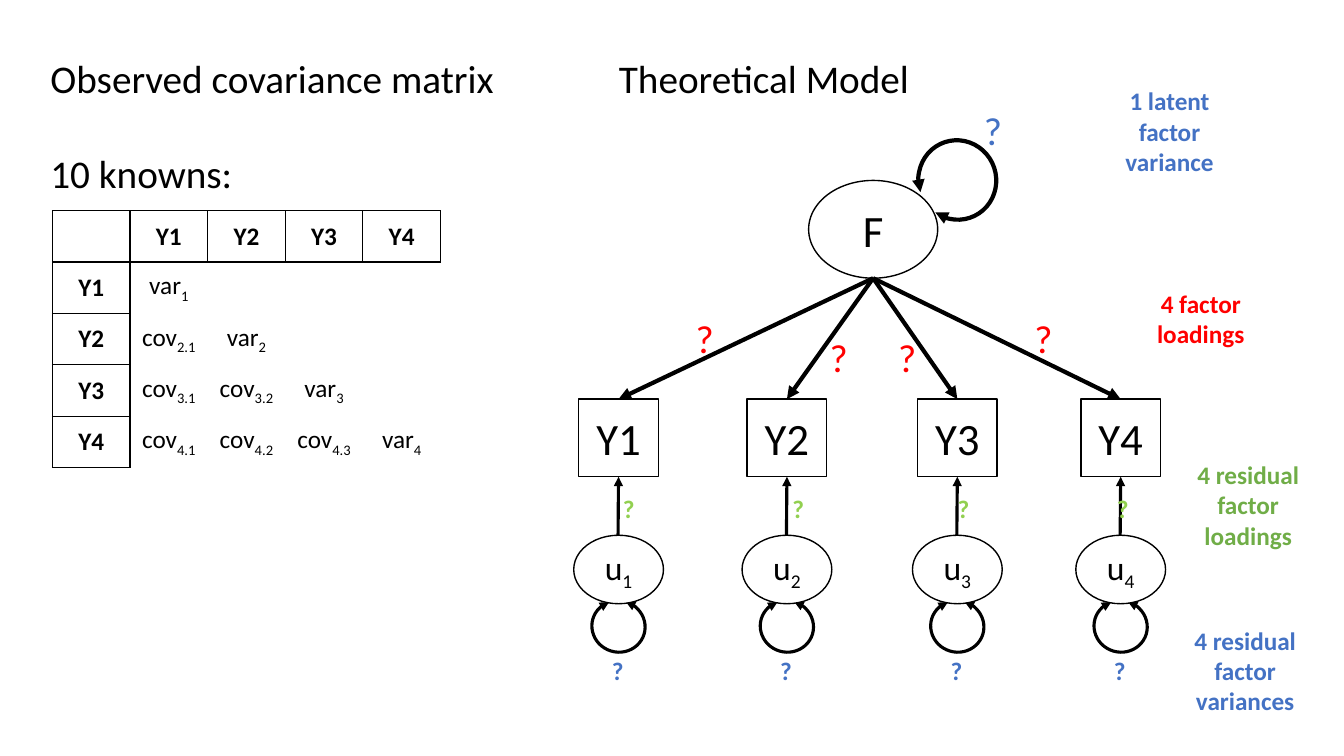
from lxml import etree
from pptx import Presentation
from pptx import util as u
from pptx.dml.color import RGBColor
from pptx.enum import shapes, text
from pptx.oxml.ns import qn

BLACK, WHITE, BLUE, RED = "000000", "FFFFFF", "4472C4", "FF0000"
GREEN, LIME = "70AD47", "92D050"
CENTER, LEFT = text.PP_ALIGN.CENTER, text.PP_ALIGN.LEFT
INDICATORS = [("1", 6.13), ("2", 7.8), ("3", 9.49), ("4", 11.11)]


def rgb(color):
    """Turn a hex string into a colour."""
    return RGBColor.from_string(color)


def box_of(*lengths):
    """Give left, top, width and height as lengths in inches."""
    return [u.Inches(length) for length in lengths]


def write(frame, content, size=18, color=BLACK, bold=False, align=LEFT, gap=0, tabs=()):
    """Fill a text frame; the part of a line after an underscore is a subscript."""
    for index, line in enumerate(content.split("\n")):
        paragraph = frame.add_paragraph() if index else frame.paragraphs[0]
        paragraph.alignment = align
        if index:
            paragraph.space_before = u.Pt(gap)
        if tabs:
            stops = etree.SubElement(paragraph._p.get_or_add_pPr(), qn("a:tabLst"))
            for stop in tabs:
                etree.SubElement(stops, qn("a:tab"), pos=str(u.Inches(stop)), algn="l")
        for level, part in enumerate(line.split("_")):
            run = paragraph.add_run()
            run.text = part
            run.font.name = "Calibri"
            run.font.size = u.Pt(size)
            run.font.bold = bold
            run.font.color.rgb = rgb(color)
            if level:
                run._r.get_or_add_rPr().set("baseline", "-25000")


def add_label(slide, place, content, wrap=True, **style):
    """Add a text box."""
    frame = slide.shapes.add_textbox(*box_of(*place)).text_frame
    frame.word_wrap = wrap
    write(frame, content, **style)


def add_node(slide, kind, place, content, size):
    """Add an outlined variable with its name in the middle."""
    node = slide.shapes.add_shape(kind, *box_of(*place))
    node.shadow.inherit = False
    node.fill.solid()
    node.fill.fore_color.rgb = rgb(WHITE)
    node.line.color.rgb = rgb(BLACK)
    node.line.width = u.Pt(1)
    node.text_frame.vertical_anchor = text.MSO_ANCHOR.MIDDLE
    write(node.text_frame, content, size=size, align=CENTER)
    return node


def style_arrow(arrow, width, ends):
    """Draw a black line with triangular heads."""
    arrow.line.color.rgb = rgb(BLACK)
    arrow.line.width = u.Pt(width)
    for end in ends:
        etree.SubElement(arrow.line._get_or_add_ln(), qn(f"a:{end}"), type="triangle")


def add_variance_loop(slide, place, rotation, width):
    """Add a two-headed loop for a variance."""
    loop = slide.shapes.add_shape(shapes.MSO_SHAPE.ARC, *box_of(*place))
    loop.shadow.inherit = False
    loop.fill.background()
    loop.adjustments[0], loop.adjustments[1] = 162, 139.33
    loop.rotation = rotation
    style_arrow(loop, width, ["headEnd", "tailEnd"])


def add_path(slide, start, indicator, side, width):
    """Add an arrow from a point to one side of an indicator."""
    x, y = box_of(*start)
    arrow = slide.shapes.add_connector(shapes.MSO_CONNECTOR.STRAIGHT, x, y, x, y)
    arrow.end_connect(indicator, side)
    style_arrow(arrow, width, ["tailEnd"])
    etree.SubElement(arrow._element.spPr, qn("a:effectLst"))


def add_border(cell, edges):
    """Draw thin black lines on the given edges of a cell and hide the others."""
    properties = cell._tc.get_or_add_tcPr()
    for edge in "LRTB":
        line = etree.SubElement(properties, qn(f"a:ln{edge}"), w=str(u.Pt(1)))
        if edge in edges:
            fill = etree.SubElement(line, qn("a:solidFill"))
            etree.SubElement(fill, qn("a:srgbClr"), val=BLACK)
        else:
            etree.SubElement(line, qn("a:noFill"))


def matrix_entry(row, column):
    """Name the entry of the lower-triangular covariance matrix."""
    if row == 0 or column == 0:
        return f"Y{row + column}" if row + column else ""
    if row == column:
        return f"var_{row}"
    return f"cov_{row}.{column}" if row > column else ""


def add_covariance_matrix(slide):
    """Add the table of observed variances and covariances."""
    matrix = slide.shapes.add_table(5, 5, *box_of(0.52, 2.09, 3.85, 2.55)).table
    matrix.first_row = matrix.horz_banding = False
    for row in range(5):
        matrix.rows[row].height = u.Inches(0.51)
        matrix.columns[row].width = u.Inches(0.77)
        for column in range(5):
            cell = matrix.cell(row, column)
            heading = row == 0 or column == 0
            edges = "LRTB" if heading else "L" * (column == 1) + "T" * (row == 1)
            add_border(cell, edges)
            cell.fill.solid()
            cell.fill.fore_color.rgb = rgb(WHITE)
            cell.vertical_anchor = text.MSO_ANCHOR.MIDDLE
            entry = matrix_entry(row, column)
            if entry:
                write(cell.text_frame, entry, bold=heading, align=CENTER)


def add_heading(slide):
    """Place the title and the line on the known values."""
    heading = slide.shapes.title
    heading.left, heading.top, heading.width, heading.height = box_of(0.4, 0.49, 5.16, 1.51)
    frame = heading.text_frame
    frame.auto_size = text.MSO_AUTO_SIZE.NONE
    frame.vertical_anchor = text.MSO_ANCHOR.TOP
    write(frame, "Observed covariance matrix\n10 knowns:", size=28, gap=34)


def add_model(slide):
    """Draw the factor, its indicators and their residuals."""
    oval, square = shapes.MSO_SHAPE.OVAL, shapes.MSO_SHAPE.RECTANGLE
    add_node(slide, oval, (8.02, 1.79, 1.28, 0.97), "F", 32)
    add_variance_loop(slide, (9.1, 1.4, 0.79, 0.77), 251.7, 3)
    for number, center in INDICATORS:
        add_variance_loop(slide, (center - 0.26, 5.96, 0.53, 0.51), 16.7, 2.25)
        place = (center - 0.39, 3.96, 0.79, 0.77)
        indicator = add_node(slide, square, place, f"Y{number}", 32)
        add_node(slide, oval, (center - 0.44, 5.31, 0.89, 0.68), f"u_{number}", 24)
        add_path(slide, (8.66, 2.76), indicator, 0, 3)
        add_path(slide, (center, 5.31), indicator, 2, 2.25)
        add_label(slide, (center - 0.16, 6.45, 0.32, 0.4), "?", wrap=False,
                  color=BLUE, bold=True)


def add_unknowns(slide):
    """Mark the unknown parameters and count them at the right."""
    for left, top, color in [(9.66, 1.01, BLUE), (6.8, 3.07, RED), (8.13, 3.26, RED),
                             (8.81, 3.26, RED), (10.16, 3.07, RED)]:
        add_label(slide, (left, top, 0.38, 0.57), "?", wrap=False, size=28, color=color)
    add_label(slide, (5.86, 4.84, 5.64, 0.4), "\t?\t?\t?\t?", color=LIME, bold=True,
              tabs=(0.22, 1.9, 3.54, 5.12))
    for left, top, height, count, color in [
            (10.8, 0.8, 1.01, "1 latent factor variance", BLUE),
            (11.11, 2.81, 0.71, "4 factor loadings", RED),
            (11.58, 4.51, 1.01, "4 residual factor loadings", GREEN),
            (11.55, 6.15, 1.01, "4 residual factor variances", BLUE)]:
        add_label(slide, (left, top, 1.6, height), count, color=color, bold=True, align=CENTER)


def main():
    """Build the slide and save it."""
    deck = Presentation()
    deck.slide_width, deck.slide_height = u.Inches(13.33), u.Inches(7.5)
    slide = deck.slides.add_slide(deck.slide_layouts[5])
    add_heading(slide)
    add_label(slide, (6.04, 0.49, 4.48, 0.57), "Theoretical Model", size=28)
    add_covariance_matrix(slide)
    add_model(slide)
    add_unknowns(slide)
    deck.save("out.pptx")


if __name__ == "__main__":
    main()
